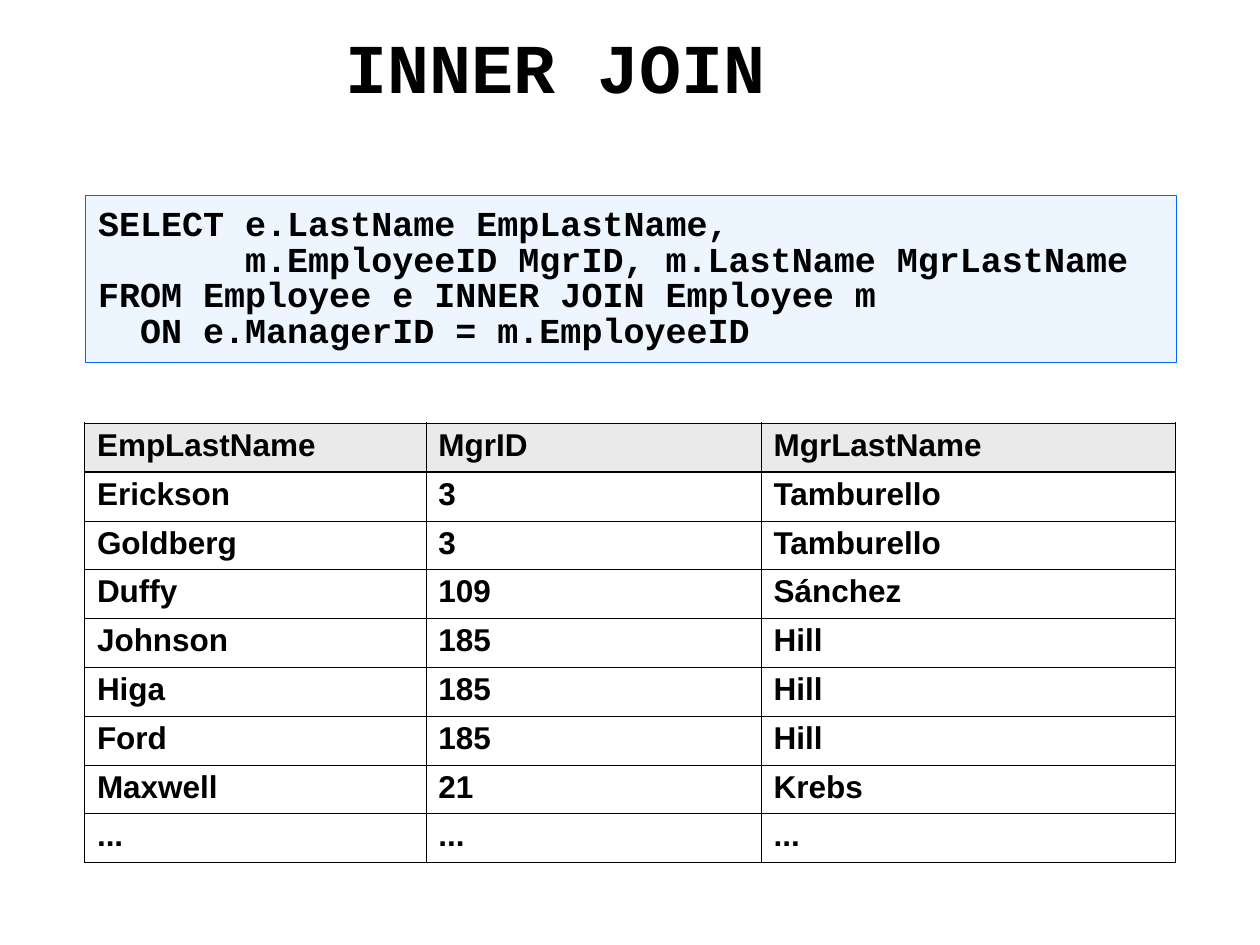
import pptx
import pptx.util
import pptx.dml.color
import pptx.enum.shapes
import pptx.enum.text
import pptx.oxml
import pptx.oxml.ns
from pptx.util import Inches, Pt

HEX = {"ink": "000000", "code": "DDECFF", "edge": "0066FF",
       "head": "EAEAEA", "page": "FFFFFF"}
TITLE = {"name": "Courier New", "size": Pt(40), "bold": True}
CODE = {"name": "Courier New", "size": Pt(20), "bold": True}
CELL = {"name": "Arial", "size": Pt(18), "bold": True}
THICK, THIN = Pt(1.08), Pt(0.45)

QUERY = """SELECT e.LastName EmpLastName,
       m.EmployeeID MgrID, m.LastName MgrLastName
FROM Employee e INNER JOIN Employee m
  ON e.ManagerID = m.EmployeeID"""
ROWS = [
    ("EmpLastName", "MgrID", "MgrLastName"),
    ("Erickson", "3", "Tamburello"),
    ("Goldberg", "3", "Tamburello"),
    ("Duffy", "109", "Sánchez"),
    ("Johnson", "185", "Hill"),
    ("Higa", "185", "Hill"),
    ("Ford", "185", "Hill"),
    ("Maxwell", "21", "Krebs"),
    ("...", "...", "..."),
]
COLS = [2.71, 2.66, 3.29]


def rgb(key):
    return pptx.dml.color.RGBColor.from_string(HEX[key])


def paint(fill, key):
    fill.solid()
    fill.fore_color.rgb = rgb(key)


def write(frame, text, look, space):
    """Fill a text frame, one left-aligned paragraph per line."""
    frame.text = text
    for para in frame.paragraphs:
        para.alignment = pptx.enum.text.PP_ALIGN.LEFT
        para.line_spacing = space
        for run in para.runs:
            for key, value in look.items():
                setattr(run.font, key, value)
            run.font.color.rgb = rgb("ink")


def add_title(slide, box):
    title = slide.shapes.title
    title.left, title.top, title.width, title.height = map(Inches, box)
    frame = title.text_frame
    frame.vertical_anchor = pptx.enum.text.MSO_ANCHOR.MIDDLE
    frame.auto_size = pptx.enum.text.MSO_AUTO_SIZE.NONE
    write(frame, "INNER JOIN", TITLE, 0.85)


def add_code(slide, box):
    panel = slide.shapes.add_shape(
        pptx.enum.shapes.MSO_SHAPE.RECTANGLE, *map(Inches, box))
    panel.shadow.inherit = False
    paint(panel.fill, "code")
    tint = panel.fill._xPr.find(".//" + pptx.oxml.ns.qn("a:srgbClr"))
    tint.append(pptx.oxml.parse_xml(
        f'<a:alpha {pptx.oxml.ns.nsdecls("a")} val="50000"/>'))
    panel.line.color.rgb = rgb("edge")
    panel.line.width = Pt(0.75)
    frame = panel.text_frame
    for side in ("left", "top", "right", "bottom"):
        setattr(frame, "margin_" + side, Inches(0.1))
    frame.word_wrap = True
    frame.vertical_anchor = pptx.enum.text.MSO_ANCHOR.TOP
    frame.auto_size = pptx.enum.text.MSO_AUTO_SIZE.SHAPE_TO_FIT_TEXT
    write(frame, QUERY, CODE, 0.85)


def rule(cell, sides):
    """Draw cell borders; sides maps L, R, T, B to widths, in that order."""
    props = cell._tc.get_or_add_tcPr()
    for side, width in sides.items():
        props.append(pptx.oxml.parse_xml(
            f'<a:ln{side} {pptx.oxml.ns.nsdecls("a")} w="{int(width)}">'
            f'<a:solidFill><a:srgbClr val="{HEX["ink"]}"/></a:solidFill>'
            f'</a:ln{side}>'))


def add_grid(slide, box):
    grid = slide.shapes.add_table(
        len(ROWS), len(COLS), *map(Inches, box)).table
    grid.horz_banding = False
    for col, width in zip(grid.columns, COLS):
        col.width = Inches(width)
    last, edge = len(ROWS) - 1, len(COLS) - 1
    for r, texts in enumerate(ROWS):
        grid.rows[r].height = Inches(box[3] / len(ROWS))
        for c, text in enumerate(texts):
            cell = grid.cell(r, c)
            rule(cell, {"L": THICK if c == 0 else THIN,
                        "R": THICK if c == edge else THIN,
                        "T": THICK if r < 2 else THIN,
                        "B": THICK if r in (0, last) else THIN})
            if r == 0:
                paint(cell.fill, "head")
            else:
                cell.fill.background()
            write(cell.text_frame, text, CELL, 0.95)


def main():
    deck = pptx.Presentation()
    deck.slide_width, deck.slide_height = Inches(10), Inches(7.5)
    slide = deck.slides.add_slide(deck.slide_layouts.get_by_name("Title Only"))
    paint(slide.background.fill, "page")
    add_title(slide, (2.64, 0.08, 7.17, 0.99))
    add_code(slide, (0.68, 1.55, 8.66, 1.33))
    add_grid(slide, (0.67, 3.36, sum(COLS), 3.49))
    deck.save("out.pptx")


if __name__ == "__main__":
    main()
